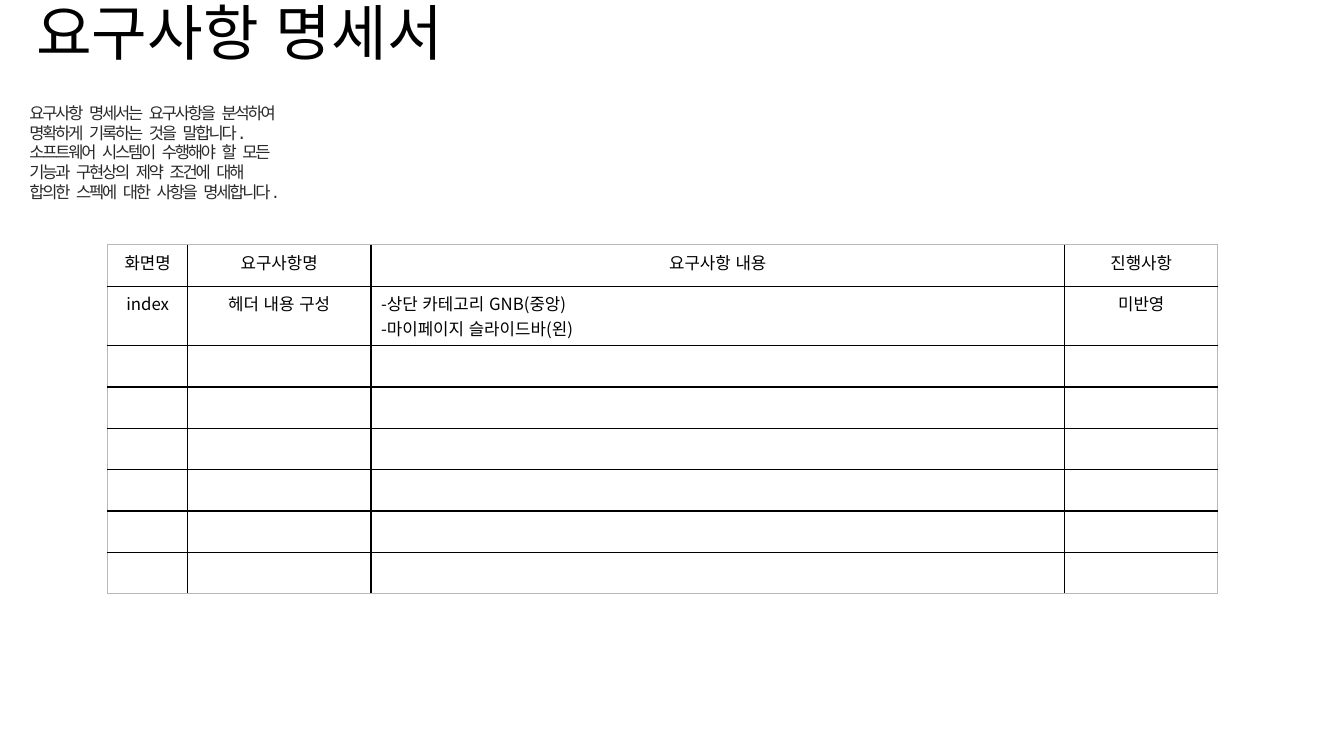
from pptx import Presentation
from pptx.dml.color import RGBColor
from pptx.enum.lang import MSO_LANGUAGE_ID
from pptx.enum.text import MSO_ANCHOR, PP_ALIGN
from pptx.oxml import parse_xml
from pptx.oxml.ns import nsdecls
from pptx.util import Inches, Pt

LEFT, CENTER = PP_ALIGN.LEFT, PP_ALIGN.CENTER
TOP, BOTTOM = MSO_ANCHOR.TOP, MSO_ANCHOR.BOTTOM
KOREAN = MSO_LANGUAGE_ID.KOREAN
SANS, MONO = "Noto Sans CJK KR", "Courier New"
BLACK, DARK, GREY = "000000", "292929", "B8B8B8"

TITLE = "요구사항 명세서"
DESCRIPTION = (
    "요구사항 명세서는 요구사항을 분석하여 명확하게 기록하는 것을 말합니다. "
    "소프트웨어 시스템이 수행해야 할 모든 기능과 구현상의 제약 조건에 대해 "
    "합의한 스펙에 대한 사항을 명세합니다"
)
COLUMNS = [("화면명", 0.79), ("요구사항명", 1.82), ("요구사항 내용", 6.88), ("진행사항", 1.52)]
REQUIREMENTS = [
    ("index", "헤더 내용 구성", "-상단 카테고리 GNB(중앙)\n-마이페이지 슬라이드바(왼)", "미반영"),
]
EMPTY_ROWS = 6
ROW_H, REQUIREMENT_H = 0.41, 0.59
DETAIL_COL = 2


def rgb(value):
    return RGBColor.from_string(value)


def add_run(p, text, size, font=SANS, color=BLACK, spacing=None):
    r = p.add_run()
    r.text = text
    for name, value in {"size": Pt(size), "name": font, "language_id": KOREAN}.items():
        setattr(r.font, name, value)
    r.font.color.rgb = rgb(color)
    rPr = r.font._element
    rPr.append(parse_xml(f'<a:ea {nsdecls("a")} typeface="{font}"/>'))
    if spacing is not None:
        rPr.set("spc", str(round(spacing * 100)))


def add_text(s, box, anchor, insets):
    tf = s.shapes.add_textbox(*map(Inches, box)).text_frame
    x, y = map(Inches, insets)
    frame = {"word_wrap": True, "vertical_anchor": anchor, "margin_left": x,
             "margin_right": x, "margin_top": y, "margin_bottom": y}
    for name, value in frame.items():
        setattr(tf, name, value)
    return tf.paragraphs[0]


def set_borders(cell, colors):
    tcPr = cell._tc.get_or_add_tcPr()
    for i, (side, color) in enumerate(colors.items()):
        width = Pt(0.75 if color == GREY else 1)
        tcPr.insert(i, parse_xml(
            f'<a:ln{side} {nsdecls("a")} w="{width}"><a:solidFill>'
            f'<a:srgbClr val="{color}"/></a:solidFill></a:ln{side}>'))


def add_requirements(s):
    rows = [[name for name, _ in COLUMNS], *REQUIREMENTS]
    rows += [[""] * len(COLUMNS)] * EMPTY_ROWS
    heights = [ROW_H] + [REQUIREMENT_H] * len(REQUIREMENTS) + [ROW_H] * EMPTY_ROWS
    widths = [w for _, w in COLUMNS]
    box = (1.07, 2.43, sum(widths), sum(heights))
    table = s.shapes.add_table(len(rows), len(widths), *map(Inches, box)).table
    table.first_row = table.horz_banding = False
    for column, w in zip(table.columns, widths):
        column.width = Inches(w)
    for row, h in zip(table.rows, heights):
        row.height = Inches(h)
    for i, row in enumerate(rows):
        for j, text in enumerate(row):
            cell = table.cell(i, j)
            cell.fill.background()
            set_borders(cell, {
                "L": BLACK if j else GREY,
                "R": BLACK if j < len(widths) - 1 else GREY,
                "T": BLACK if i else GREY,
                "B": BLACK if i < len(rows) - 1 else GREY,
            })
            tf = cell.text_frame
            for n, line in enumerate(text.split("\n")):
                p = tf.add_paragraph() if n else tf.paragraphs[0]
                p.font.size = Pt(12)
                p.alignment = LEFT if i and j == DETAIL_COL else CENTER
                if line:
                    add_run(p, line, 12)


def main():
    """Build the requirements specification slide."""
    prs = Presentation()
    prs.slide_width, prs.slide_height = Inches(13.33), Inches(7.5)
    s = prs.slides.add_slide(prs.slide_layouts[6])
    p = add_text(s, (0.06, 0.13, 4.63, 0.6), BOTTOM, (0.1, 0.05))
    p.alignment, p.line_spacing = CENTER, 0.9
    add_run(p, TITLE, 43.2)
    p = add_text(s, (0.29, 1.02, 2.48, 0.99), TOP, (0, 0))
    add_run(p, DESCRIPTION, 11.8, MONO, DARK, -1.5)
    add_run(p, ".", 11, MONO, DARK, -0.1)
    add_requirements(s)
    prs.save("out.pptx")


if __name__ == "__main__":
    main()
